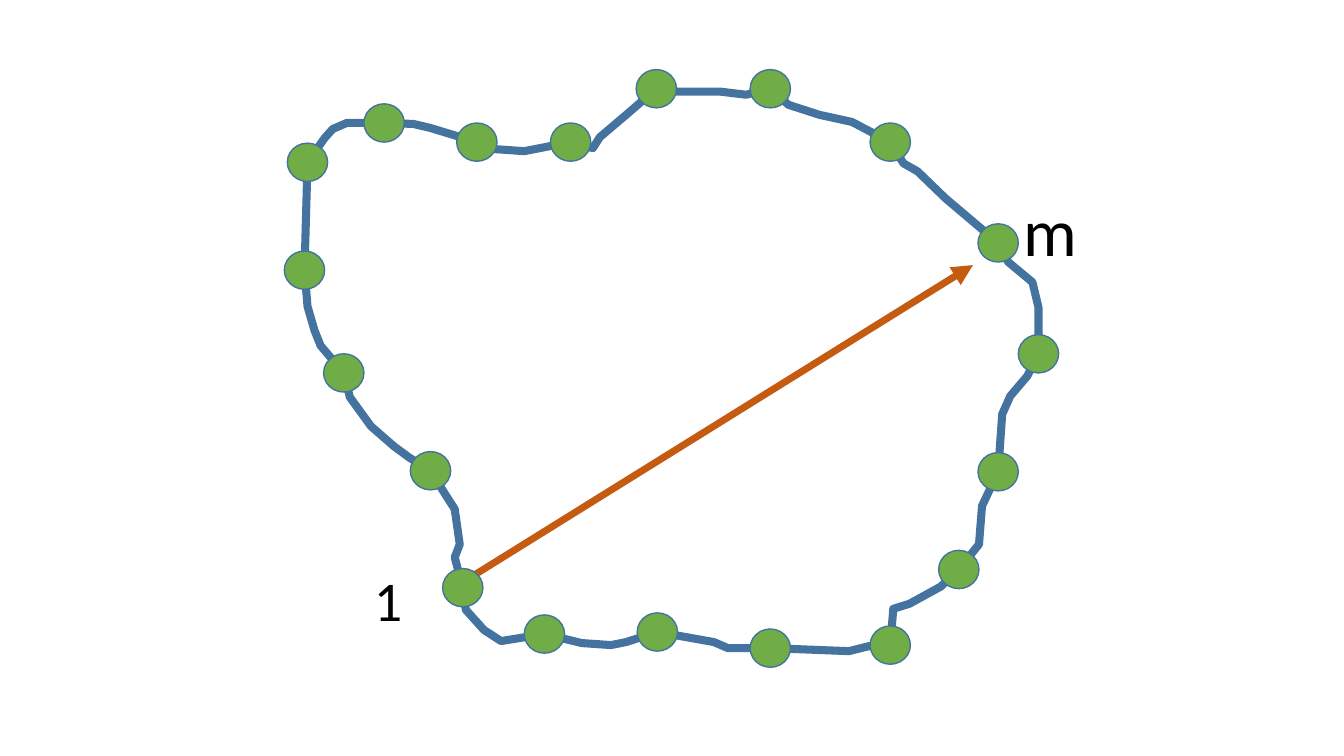
from lxml import etree
from pptx import Presentation, util as u
from pptx.dml.color import RGBColor
from pptx.enum import shapes, text
from pptx.oxml.ns import qn

PX = 9144  # 100 px to the inch
BLUE = RGBColor(0x43, 0x73, 0x9E)
GREEN = RGBColor(0x70, 0xAD, 0x47)
RUST = RGBColor(0xC5, 0x5A, 0x11)
BLACK = RGBColor(0, 0, 0)
DOT_W, DOT_H = 40, 38

# Clockwise from dot 1: centre of each dot, then the bends up to the next one
STOPS = {
    (459, 583): [(451, 553), (456, 540), (451, 505), (442, 491)],
    (427, 467): [(406, 454), (391, 443), (368, 423), (347, 394)],
    (341, 370): [(318, 343), (312, 328), (305, 304)],
    (302, 268): [],
    (305, 161): [(322, 137), (330, 128), (344, 122)],
    (381, 122): [(410, 123), (427, 127)],
    (473, 141): [(491, 148), (520, 150)],
    (566, 141): [(588, 147), (595, 136), (621, 114)],
    (651, 88): [(673, 91), (715, 91), (740, 94)],
    (764, 88): [(782, 104), (813, 114), (845, 121)],
    (883, 141): [(896, 162), (910, 170), (938, 197)],
    (990, 241): [(1000, 260), (1024, 280), (1030, 305)],
    (1030, 351): [(1019, 373), (1002, 393), (994, 411)],
    (990, 468): [(974, 502), (971, 540)],
    (951, 565): [(933, 582), (902, 599), (886, 604)],
    (883, 640): [(862, 641), (842, 646)],
    (764, 643): [(722, 643), (708, 637)],
    (652, 627): [(621, 637), (606, 640), (577, 638)],
    (540, 629): [(497, 636), (480, 625), (462, 605)],
}


def loop(slide, x, y):
    pts = [(x + a, y + b) for dot, bends in STOPS.items() for a, b in [dot, *bends]]
    pen = slide.shapes.build_freeform(*pts[0], scale=PX)
    pen.add_line_segments(pts[1:], close=True)
    ring = pen.convert_to_shape()
    ring.shadow.inherit = False
    ring.fill.background()
    ring.line.color.rgb = BLUE
    ring.line.width = u.Pt(5.75)
    etree.SubElement(ring.line._get_or_add_ln(), qn("a:round"))


def arrow(slide, x, y):
    ends = [n * PX for n in (x + 468, y + 572, x + 965, y + 263)]
    line = slide.shapes.add_connector(shapes.MSO_CONNECTOR.STRAIGHT, *ends)
    line.line.color.rgb = RUST
    line.line.width = u.Pt(5)
    etree.SubElement(line.line._get_or_add_ln(), qn("a:tailEnd"), type="triangle")
    etree.SubElement(line._element.spPr, qn("a:effectLst"))


def dots(slide, x, y):
    for a, b in STOPS:
        dot = slide.shapes.add_shape(
            shapes.MSO_SHAPE.OVAL,
            (x + a - DOT_W // 2) * PX, (y + b - DOT_H // 2) * PX,
            DOT_W * PX, DOT_H * PX)
        dot.shadow.inherit = False
        dot.fill.solid()
        dot.fill.fore_color.rgb = GREEN
        dot.line.color.rgb = BLUE
        dot.line.width = u.Pt(1)


def label(slide, x, y, w, h, word, size):
    box = slide.shapes.add_textbox(x * PX, y * PX, w * PX, h * PX)
    frame = box.text_frame
    frame.word_wrap = True
    frame.auto_size = text.MSO_AUTO_SIZE.SHAPE_TO_FIT_TEXT
    run = frame.paragraphs[0].add_run()
    run.text = word
    run.font.name = "Calibri"
    run.font.size = u.Pt(size)
    run.font.color.rgb = BLACK


def route(slide, x, y):
    loop(slide, x, y)
    arrow(slide, x, y)
    label(slide, x + 1005, y + 183, 55, 94, "m", 48)
    dots(slide, x, y)
    label(slide, x + 361, y + 556, 56, 88, "1", 40)


def main():
    deck = Presentation()
    deck.slide_width, deck.slide_height = 1333 * PX, 750 * PX
    route(deck.slides.add_slide(deck.slide_layouts[6]), 0, 0)
    deck.save("out.pptx")


if __name__ == "__main__":
    main()
